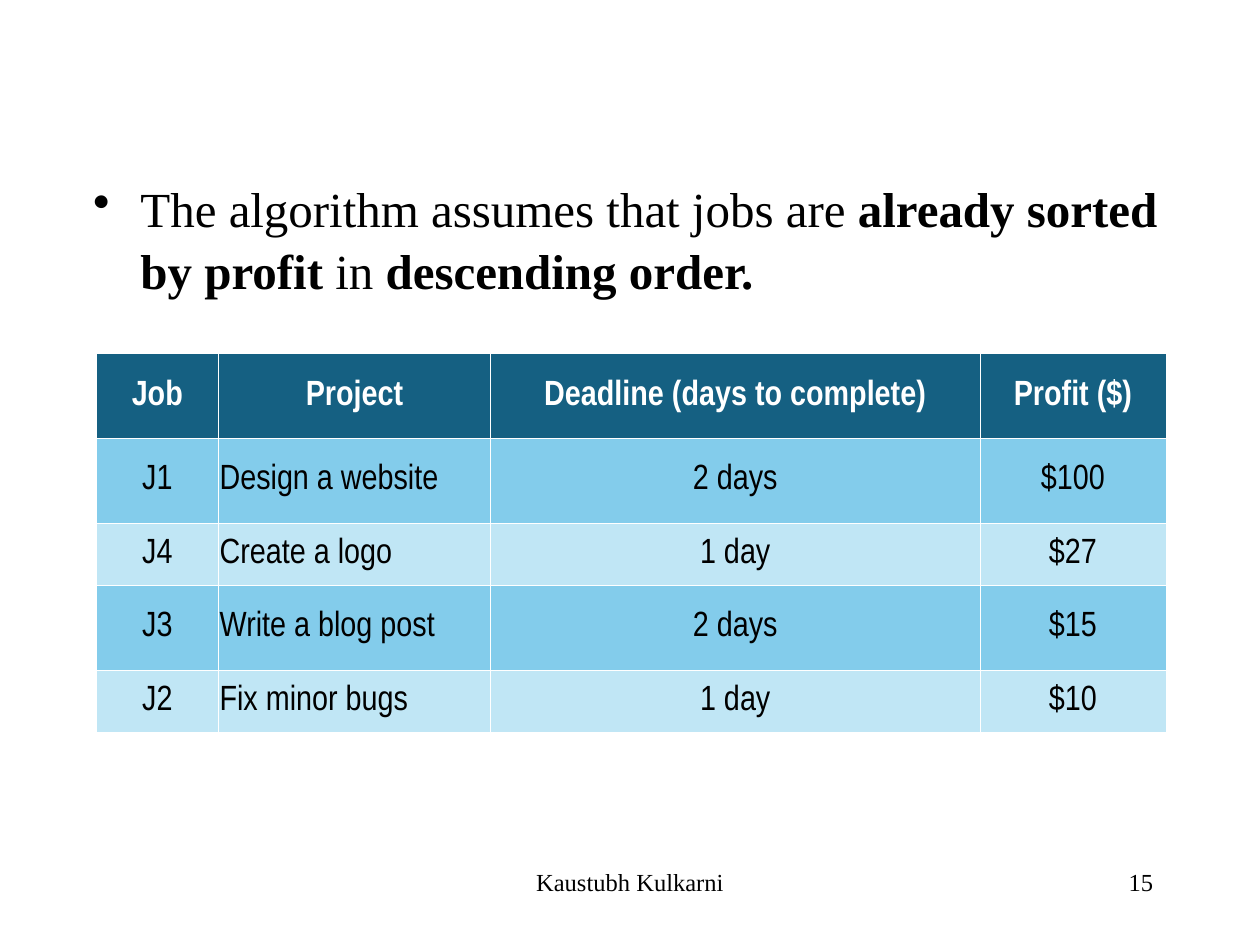
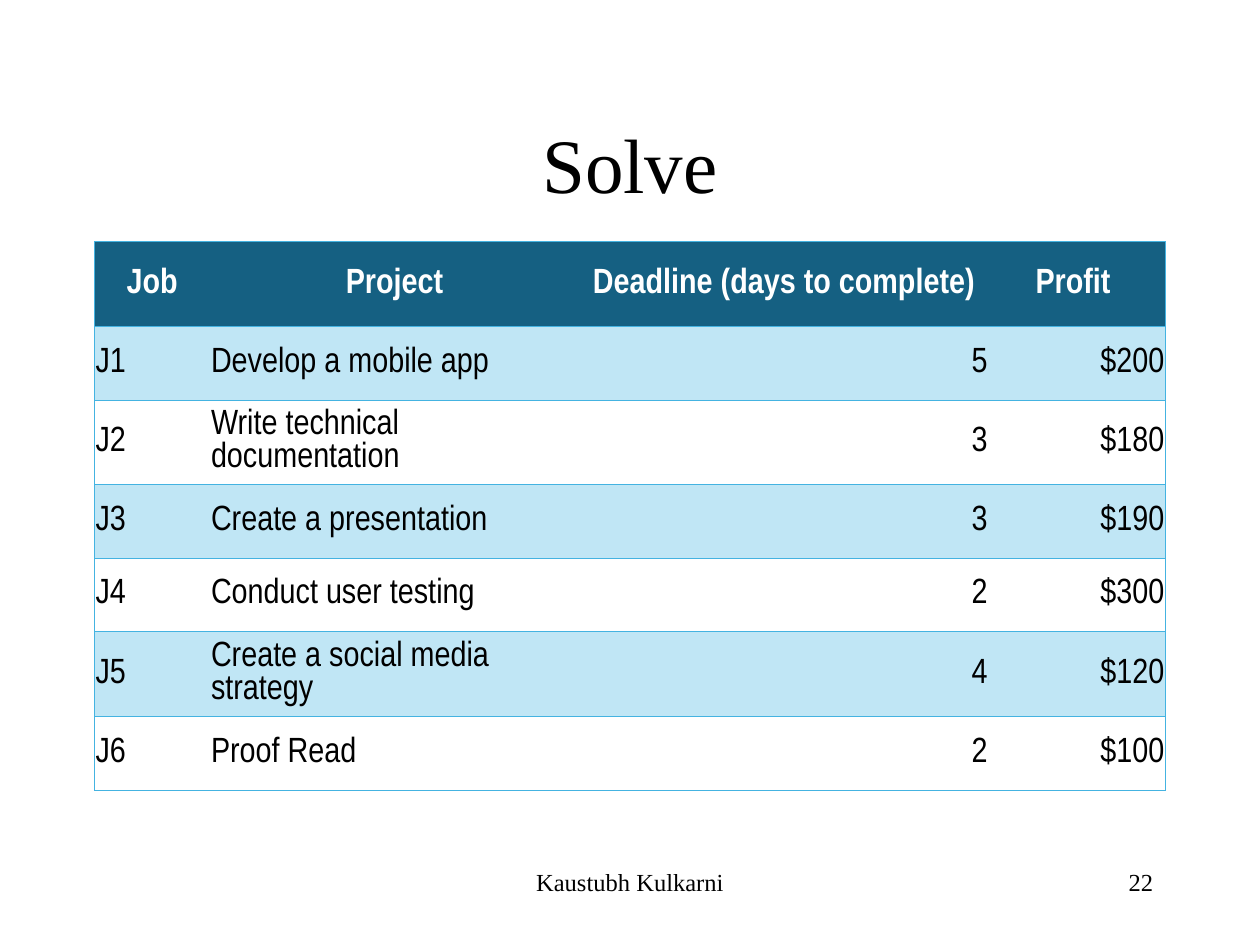
from pptx import Presentation
from pptx.dml.color import RGBColor
from pptx.enum.text import MSO_ANCHOR as Anchor, PP_ALIGN as Align
from pptx.oxml.ns import qn
from pptx.util import Pt
from lxml.etree import SubElement, Element

SERIF, NARROW = "Times New Roman", "Arial Narrow"
BLACK, WHITE = "000000", "FFFFFF"
HEADER, SKY, PALE, RULE = "156082", "83CCEB", "C0E6F5", "44B3E1"
LEFT, CENTER, RIGHT = Align.LEFT, Align.CENTER, Align.RIGHT
TITLE_ONLY, BLANK = 5, 6

AUTHOR = "Kaustubh Kulkarni"
ASSUMPTION = [
    ("The algorithm assumes that jobs are ", False),
    ("already sorted by profit", True),
    (" in ", False),
    ("descending order.", True),
]
SORTED_JOBS = {
    "rows": [
        ("Job", "Project", "Deadline (days to complete)", "Profit ($)"),
        ("J1", "Design a website", "2 days", "$100"),
        ("J4", "Create a logo", "1 day", "$27"),
        ("J3", "Write a blog post", "2 days", "$15"),
        ("J2", "Fix minor bugs", "1 day", "$10"),
    ],
    "corner": (54.9, 202),
    "widths": (70, 155.5, 279.5, 106.5),
    "heights": (48.5, 48.5, 35.5, 48.5, 35.5),
    "aligns": (CENTER, LEFT, CENTER, CENTER),
    "bands": (SKY, PALE),
    "rule": WHITE,
    "inner_columns": True,
}
EXERCISE_JOBS = {
    "rows": [
        ("Job", "Project", "Deadline (days to complete)", "Profit "),
        ("J1", "Develop a mobile app", "5", "$200"),
        ("J2", "Write technical documentation", "3", "$180"),
        ("J3", "Create a presentation", "3", "$190"),
        ("J4", "Conduct user testing", "2", "$300"),
        ("J5", "Create a social media strategy", "4", "$120"),
        ("J6", "Proof Read", "2", "$100"),
    ],
    "corner": (54, 138),
    "widths": (66, 211, 234, 101),
    "heights": (48.5, 42, 48.5, 42, 42, 48.5, 42),
    "aligns": (LEFT, LEFT, RIGHT, RIGHT),
    "bands": (PALE, None),
    "rule": RULE,
    "inner_columns": False,
}


def color(value):
    return RGBColor.from_string(value)


def add_run(paragraph, text, size, font=SERIF, ink=BLACK, bold=False):
    run = paragraph.add_run()
    run.text = text
    run.font.size, run.font.name, run.font.bold = Pt(size), font, bold
    run.font.color.rgb = color(ink)


def set_margins(target, side, end):
    target.margin_left = target.margin_right = Pt(side)
    target.margin_top = target.margin_bottom = Pt(end)


def add_box(slide, left, top, width, height, side=0, end=0):
    frame = slide.shapes.add_textbox(Pt(left), Pt(top), Pt(width), Pt(height)).text_frame
    frame.word_wrap = True
    set_margins(frame, side, end)
    return frame.paragraphs[0]


def add_footer(slide, number):
    for text, left, width, align in (
        (AUTHOR, 246, 228, CENTER),
        (str(number), 516, 150, RIGHT),
    ):
        paragraph = add_box(slide, left, 492, width, 36, 7.2, 3.6)
        paragraph.alignment = align
        add_run(paragraph, text, 14)


def add_title(slide, text):
    title = slide.shapes.title
    title.left, title.top, title.width, title.height = Pt(54), Pt(48), Pt(612), Pt(90)
    frame = title.text_frame
    set_margins(frame, 0, 0)
    frame.vertical_anchor = Anchor.MIDDLE
    frame.paragraphs[0].alignment = CENTER
    add_run(frame.paragraphs[0], text, 44)


def add_bullet(slide, runs):
    paragraph = add_box(slide, 53.3, 100.5, 612, 318)
    properties = paragraph._p.get_or_add_pPr()
    properties.set("marL", str(Pt(27)))
    properties.set("indent", str(-Pt(27)))
    SubElement(properties, qn("a:buChar")).set("char", "•")
    paragraph.line_spacing = 1.05
    for text, bold in runs:
        add_run(paragraph, text, 28, bold=bold)


def set_borders(cell, rules):
    properties = cell._tc.get_or_add_tcPr()
    for place, (side, rule) in enumerate(rules.items()):
        line = Element(qn(f"a:ln{side}"), w=str(Pt(0.23)))
        if rule:
            fill = SubElement(line, qn("a:solidFill"))
            SubElement(fill, qn("a:srgbClr")).set("val", rule)
        else:
            SubElement(line, qn("a:noFill"))
        properties.insert(place, line)


def add_jobs(slide, jobs):
    rows, widths, heights = jobs["rows"], jobs["widths"], jobs["heights"]
    left, top = jobs["corner"]
    table = slide.shapes.add_table(
        len(rows), len(widths), Pt(left), Pt(top), Pt(sum(widths)), Pt(sum(heights))
    ).table
    table.first_row = table.horz_banding = False
    for column, width in zip(table.columns, widths):
        column.width = Pt(width)
    last = len(widths) - 1
    rule = jobs["rule"]
    for r, (values, height) in enumerate(zip(rows, heights)):
        table.rows[r].height = Pt(height)
        band = jobs["bands"][(r - 1) % 2] if r else HEADER
        for c, value in enumerate(values):
            cell = table.cell(r, c)
            set_margins(cell, 0.6, 3.6)
            cell.vertical_anchor = Anchor.MIDDLE
            if band:
                cell.fill.solid()
                cell.fill.fore_color.rgb = color(band)
            else:
                cell.fill.background()
            inner = rule if jobs["inner_columns"] else None
            set_borders(cell, {
                "L": inner if c else rule,
                "R": inner if c < last else rule,
                "T": rule,
                "B": rule,
            })
            paragraph = cell.text_frame.paragraphs[0]
            paragraph.alignment = jobs["aligns"][c] if r else CENTER
            add_run(paragraph, value, 20, NARROW, BLACK if r else WHITE, not r)


def main():
    deck = Presentation()
    deck.slide_width, deck.slide_height = Pt(720), Pt(540)

    assumption = deck.slides.add_slide(deck.slide_layouts[BLANK])
    add_bullet(assumption, ASSUMPTION)
    add_footer(assumption, 15)
    add_jobs(assumption, SORTED_JOBS)

    exercise = deck.slides.add_slide(deck.slide_layouts[TITLE_ONLY])
    add_title(exercise, "Solve")
    add_jobs(exercise, EXERCISE_JOBS)
    add_footer(exercise, 22)

    deck.save("out.pptx")


if __name__ == "__main__":
    main()
